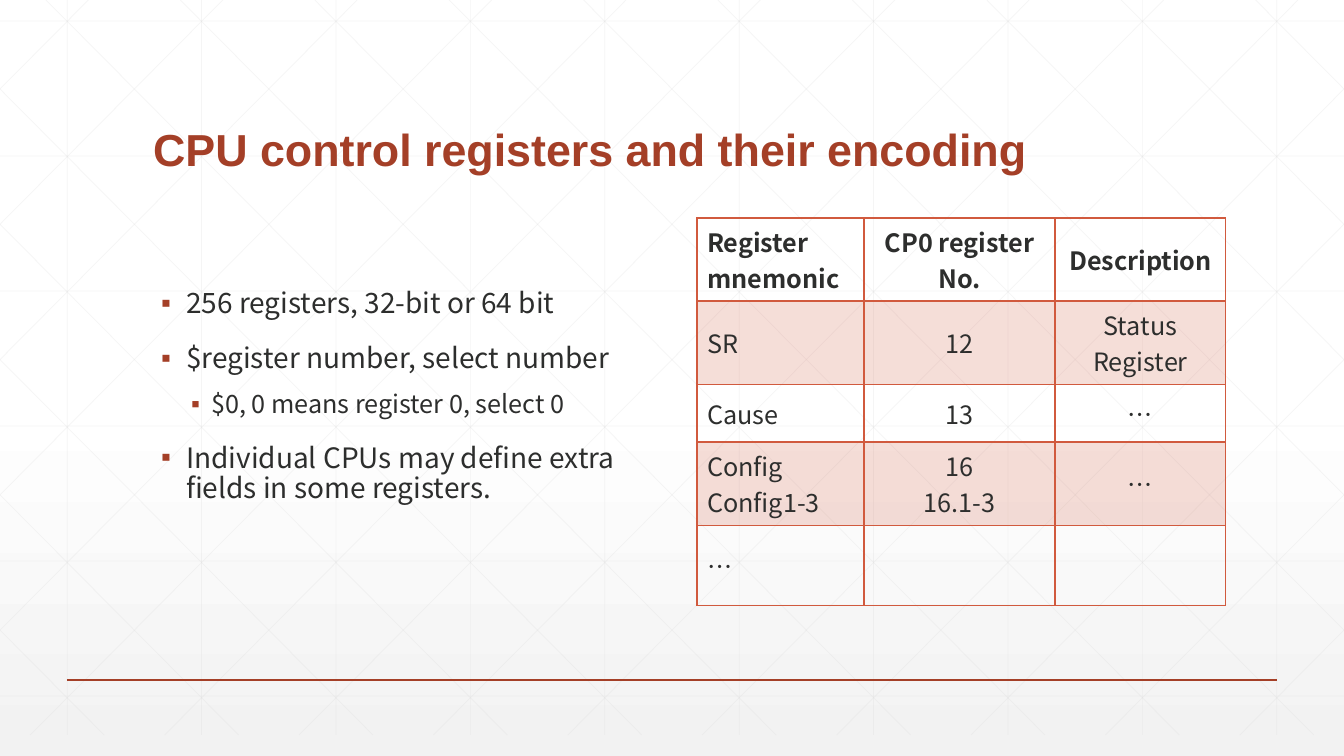
from dataclasses import dataclass
from lxml.etree import SubElement
from pptx import Presentation
from pptx.dml.color import RGBColor
from pptx.enum.shapes import MSO_CONNECTOR as Connector
from pptx.enum.text import MSO_ANCHOR as Anchor, MSO_AUTO_SIZE as AutoSize, PP_ALIGN as Align
from pptx.oxml import parse_xml
from pptx.oxml.ns import nsdecls, qn
from pptx.util import Pt

WIDTH, HEIGHT = 1344, 756
SCALE = 914400 / 100.8


@dataclass(frozen=True)
class Theme:
    """Colours, fonts and type sizes of the slide."""
    accent: str = "A43F27"
    border: str = "D15A3E"
    ink: str = "2D2E2D"
    grid: str = "D9D9D9"
    paper: str = "FFFFFF"
    shade: str = "F2F2F2"
    title_font: str = "Arial"
    body_font: str = "Noto Sans CJK SC"
    title_size: int = 32
    body_size: int = 20
    small_size: int = 18


THEME = Theme()
BULLETS = [
    ("256 registers, 32-bit or 64 bit", 0),
    ("$register number, select number", 0),
    ("$0, 0 means register 0, select 0", 1),
    ("Individual CPUs may define extra fields in some registers.", 0),
]
REGISTERS = [
    ["Register\nmnemonic", "CP0 register\nNo.", "Description"],
    ["SR", "12", "Status Register"],
    ["Cause", "13", "…"],
    ["Config\nConfig1-3", "16\n16.1-3", "…"],
    ["…", "", ""],
]


def px(length):
    """Turn pixels into EMU."""
    return round(length * SCALE)


def rgb(name):
    """Turn a hex string into a colour."""
    return RGBColor.from_string(name)


def fade(element, percent):
    """Make every colour inside the element partly opaque."""
    for color in element.iter(qn("a:srgbClr")):
        SubElement(color, qn("a:alpha"), val=str(percent * 1000))


def write(para, text, size=THEME.small_size, color=THEME.ink, font=THEME.body_font,
          bold=False, align=Align.LEFT, spacing=1.0, before=0):
    """Fill a paragraph with one formatted span."""
    para.alignment, para.line_spacing, para.space_before = align, spacing, Pt(before)
    span = para.add_run()
    span.text = text
    span.font.size, span.font.bold, span.font.name = Pt(size), bold, font
    span.font.color.rgb = rgb(color)
    SubElement(span.font._element, qn("a:ea"), typeface=font)


def add_line(shapes, start, end, color, weight, opacity=100):
    """Draw a straight line without a shadow."""
    line = shapes.add_connector(Connector.STRAIGHT, *map(px, (*start, *end)))
    line.line.color.rgb, line.line.width = rgb(color), Pt(weight)
    SubElement(line.element.spPr, qn("a:effectLst"))
    if opacity < 100:
        fade(line.element.spPr, opacity)


def paint_background(page):
    """Shade the page from white down to light grey."""
    fill = page.background.fill
    fill.gradient()
    fill.gradient_angle = 270
    for stop, (color, position) in zip(fill.gradient_stops, ((THEME.paper, 0.53), (THEME.shade, 1))):
        stop.color.rgb, stop.position = rgb(color), position


def add_grid(page, box):
    """Cover the box with faint upright, level and diagonal lines."""
    left, top, width, height = box
    right, bottom = left + width, top + height
    pitch, first_row, row_pitch = width / 10, 21, 135
    first_diagonal, slope = 46, 756 / 751
    spans = [((left + pitch * (k + 0.5), top), (left + pitch * (k + 0.5), bottom)) for k in range(10)]
    spans += [((left, y), (right, y)) for y in range(top + first_row, bottom, row_pitch)]
    for k in range(-5, 10):
        start = left + first_diagonal + pitch * k
        x1 = max(left, start)
        x2 = min(right, start + height / slope)
        y1, y2 = (top + (x - start) * slope for x in (x1, x2))
        spans += [((x1, y1), (x2, y2)), ((left + right - x1, y1), (left + right - x2, y2))]
    group = page.shapes.add_group_shape()
    for start, end in spans:
        add_line(group.shapes, start, end, THEME.grid, 0.5, 25)


def place(holder, box):
    """Move a placeholder to the box, bring it forward and return its text frame."""
    holder.left, holder.top, holder.width, holder.height = map(px, box)
    holder.element.getparent().append(holder.element)
    frame = holder.text_frame
    frame.word_wrap, frame.auto_size = True, AutoSize.NONE
    return frame


def add_title(page, box):
    """Set the slide title at the foot of its box."""
    frame = place(page.shapes.title, box)
    frame.vertical_anchor = Anchor.BOTTOM
    write(frame.paragraphs[0], "CPU control registers and their encoding", size=THEME.title_size,
          color=THEME.accent, font=THEME.title_font, bold=True, spacing=0.9)


def add_bullets(page, box):
    """Set the two-level list in the body placeholder."""
    frame = place(page.placeholders[1], box)
    levels = {0: (THEME.body_size, 18, 25, 25), 1: (THEME.small_size, 12, 50, 20)}
    for index, (text, level) in enumerate(BULLETS):
        para = frame.add_paragraph() if index else frame.paragraphs[0]
        size, before, margin, hang = levels[level]
        para.level = level
        write(para, text, size=size, spacing=0.9, before=before)
        properties = para._p.get_or_add_pPr()
        properties.set("marL", str(px(margin)))
        properties.set("indent", str(-px(hang)))
        SubElement(SubElement(properties, qn("a:buClr")), qn("a:srgbClr"), val=THEME.accent)
        SubElement(properties, qn("a:buChar"), char="▪")


def add_borders(cell, row):
    """Rule all four sides of a cell, heavier below the header."""
    properties = cell._tc.get_or_add_tcPr()
    for index, side in enumerate(("lnL", "lnR", "lnT", "lnB")):
        weight = 2 if (row, side) in ((0, "lnB"), (1, "lnT")) else 1
        properties.insert(index, parse_xml(
            f'<a:{side} {nsdecls("a")} w="{Pt(weight)}"><a:solidFill>'
            f'<a:srgbClr val="{THEME.border}"/></a:solidFill></a:{side}>'))


def add_registers(page, box, widths, heights):
    """Build the register table with every second row tinted."""
    table = page.shapes.add_table(len(heights), len(widths), *map(px, box)).table
    table.first_row = table.horz_banding = False
    for column, width in zip(table.columns, widths):
        column.width = px(width)
    for row, height in zip(table.rows, heights):
        row.height = px(height)
    for row, texts in enumerate(REGISTERS):
        for column, text in enumerate(texts):
            cell = table.cell(row, column)
            cell.vertical_anchor = Anchor.MIDDLE
            if row % 2:
                cell.fill.solid()
                cell.fill.fore_color.rgb = rgb(THEME.border)
                fade(cell._tc.get_or_add_tcPr(), 20)
            else:
                cell.fill.background()
            add_borders(cell, row)
            frame = cell.text_frame
            for index, line in enumerate(text.splitlines()):
                para = frame.add_paragraph() if index else frame.paragraphs[0]
                write(para, line, bold=row == 0, align=Align.CENTER if column else Align.LEFT)


def build():
    """Assemble the slide and save it."""
    deck = Presentation()
    deck.slide_width, deck.slide_height = px(WIDTH), px(HEIGHT)
    page = deck.slides.add_slide(deck.slide_layouts[1])
    paint_background(page)
    add_grid(page, (0, 0, WIDTH, 735))
    add_line(page.shapes, (67, 680), (1277, 680), THEME.accent, 1)
    add_title(page, (143, 55, 1058, 126))
    add_bullets(page, (151, 284, 504, 316))
    add_registers(page, (697, 218, 529, 387), (167, 191, 171), (83, 83, 58, 83, 80))
    deck.save("out.pptx")


build()
